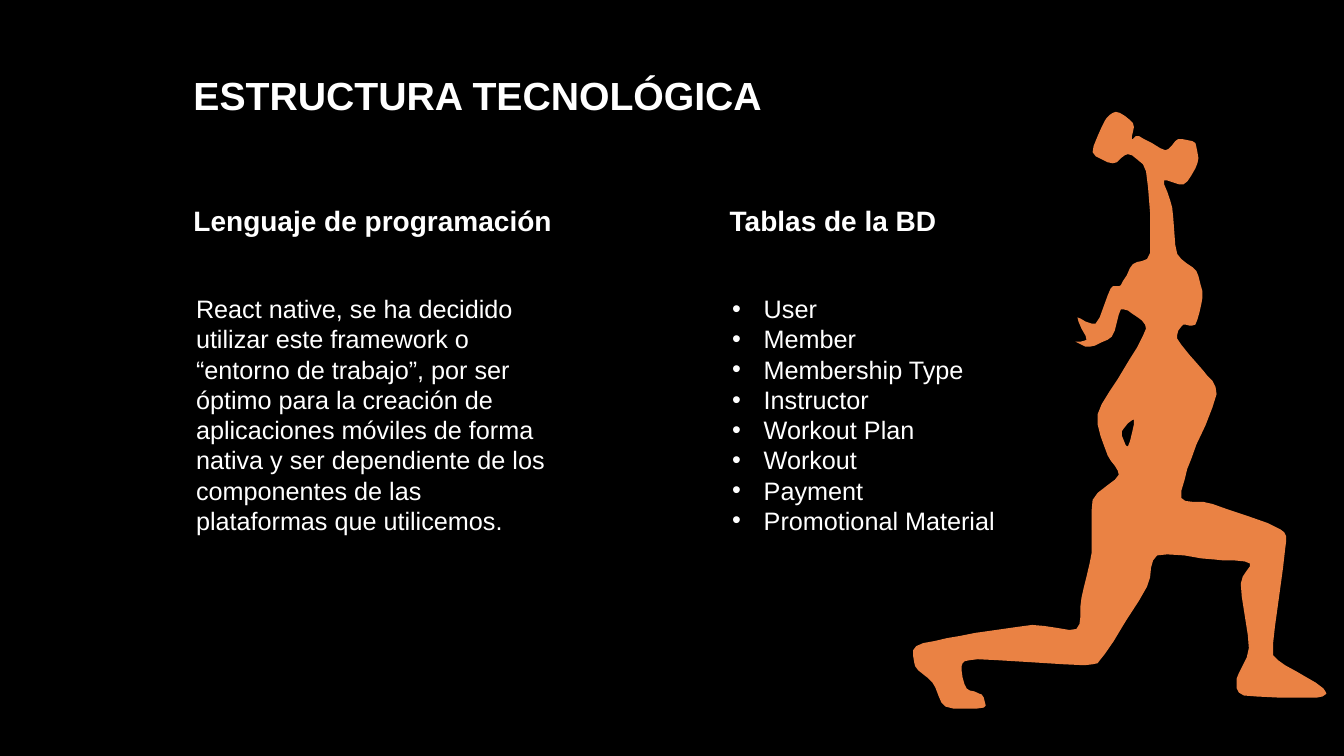
import lxml.etree
import pptx
import pptx.dml.color
import pptx.enum.text
import pptx.oxml.ns
import pptx.util

Pt = pptx.util.Pt
TEXT = pptx.enum.text

BODY = """User
Member
Membership Type
Instructor
Workout Plan
Workout
Payment
Promotional Material""".split("\n")

REACT = ("React native, se ha decidido utilizar este framework o “entorno de trabajo”, "
         "por ser óptimo para la creación de aplicaciones móviles de forma nativa y ser "
         "dependiente de los componentes de las plataformas que utilicemos.")

WOMAN = (
    (1107, 111), (1096, 120), (1084, 151), (1104, 162), (1119, 153), (1137, 170),
    (1141, 251), (1124, 262), (1112, 283), (1102, 286), (1087, 321), (1069, 315),
    (1078, 337), (1067, 339), (1081, 344), (1103, 334), (1112, 307), (1126, 313),
    (1137, 326), (1115, 366), (1089, 411), (1099, 452), (1110, 471), (1084, 496),
    (1083, 549), (1073, 593), (1068, 624), (1024, 620), (952, 631), (909, 641),
    (908, 661), (925, 677), (938, 701), (976, 702), (974, 689), (959, 683),
    (954, 661), (970, 654), (1076, 660), (1096, 649), (1138, 582), (1148, 551),
    (1204, 555), (1240, 559), (1231, 579), (1239, 643), (1227, 673), (1234, 690),
    (1301, 692), (1316, 688), (1305, 677), (1268, 655), (1263, 639), (1275, 545),
    (1270, 525), (1203, 500), (1172, 494), (1182, 455), (1207, 391), (1194, 368),
    (1168, 336), (1174, 322), (1186, 322), (1193, 295), (1187, 269), (1168, 252),
    (1163, 206), (1155, 179), (1174, 183), (1188, 162), (1186, 142), (1169, 138),
    (1156, 149), (1130, 135), (1123, 138), (1124, 122))

ARM = (1125, 416), (1119, 443), (1113, 428)


def tint(code):
    return pptx.dml.color.RGBColor.from_string(code)


def smooth(ring, steps=4, pull=0.35):
    curve = []
    count = len(ring)
    for i in range(count):
        a, b, c, d = (ring[(i + k) % count] for k in (-1, 0, 1, 2))
        for t in (k / steps for k in range(steps)):
            rise = t * t * (3 - 2 * t)
            out, into = t * (1 - t) ** 2, t * t * (t - 1)
            curve.append(tuple(
                q + (r - q) * rise + pull * ((r - p) * out + (s - q) * into)
                for p, q, r, s in zip(a, b, c, d)))
    return curve


class Deck:
    font = "Arial"
    white = "FFFFFF"
    black = "000000"
    orange = "EA8244"

    def __init__(self):
        self.file = pptx.Presentation()
        self.file.slide_width, self.file.slide_height = Pt(960), Pt(540)
        self.slide = self.file.slides.add_slide(self.file.slide_layouts[4])
        back = self.slide.background.fill
        back.solid()
        back.fore_color.rgb = tint(self.black)

    def text(self, slot, place, lines, size, bold=False, bullet=None, inset=7.2, pitch=1):
        holder = self.slide.placeholders[slot]
        for name, value in zip(("left", "top", "width", "height"), place):
            setattr(holder, name, Pt(value))
        frame = holder.text_frame
        form = {"word_wrap": True, "auto_size": TEXT.MSO_AUTO_SIZE.NONE,
                "vertical_anchor": TEXT.MSO_ANCHOR.TOP,
                "margin_left": Pt(inset), "margin_right": Pt(inset),
                "margin_top": Pt(3.6), "margin_bottom": Pt(3.6)}
        for name, value in form.items():
            setattr(frame, name, value)
        frame.text = "\n".join(lines)
        for para in frame.paragraphs:
            self.mark(para, bullet)
            form = {"alignment": TEXT.PP_ALIGN.LEFT, "line_spacing": pitch,
                    "space_before": Pt(0), "space_after": Pt(0)}
            for name, value in form.items():
                setattr(para, name, value)
            font = para.runs[0].font
            for name, value in {"name": self.font, "size": Pt(size), "bold": bold}.items():
                setattr(font, name, value)
            font.color.rgb = tint(self.white)

    def mark(self, para, bullet):
        props = para._p.get_or_add_pPr()
        dent = Pt(22.5) if bullet else 0
        props.set("marL", str(dent))
        props.set("indent", str(-dent))
        tag = "a:buChar" if bullet else "a:buNone"
        node = lxml.etree.SubElement(props, pptx.oxml.ns.qn(tag))
        if bullet:
            node.set("char", bullet)

    def shape(self, rings):
        first, *rest = map(smooth, rings)
        pen = self.slide.shapes.build_freeform(*first[0], scale=Pt(0.72))
        pen.add_line_segments(first[1:], close=True)
        for ring in rest:
            pen.move_to(*ring[0])
            pen.add_line_segments(ring[1:], close=True)
        form = pen.convert_to_shape()
        form.shadow.inherit = False
        form.fill.solid()
        form.fill.fore_color.rgb = tint(self.orange)
        form.line.fill.background()


def main():
    deck = Deck()
    left, right, wide = 131, 514, 274.5
    deck.text(0, (left, 51, 663, 57), ["ESTRUCTURA TECNOLÓGICA"], 28, True, pitch=0.9)
    deck.text(1, (left, 141.5, wide, 31.5), ["Lenguaje de programación"], 20, True)
    deck.text(3, (right, 141.5, 206, 31.5), ["Tablas de la BD"], 20, True)
    deck.text(2, (left, 206, wide, 181.5), [REACT], 18, inset=9)
    deck.text(4, (right, 206, wide, 181.5), BODY, 18, bullet="•", inset=9)
    deck.shape((WOMAN, ARM))
    deck.file.save("out.pptx")


if __name__ == "__main__":
    main()
